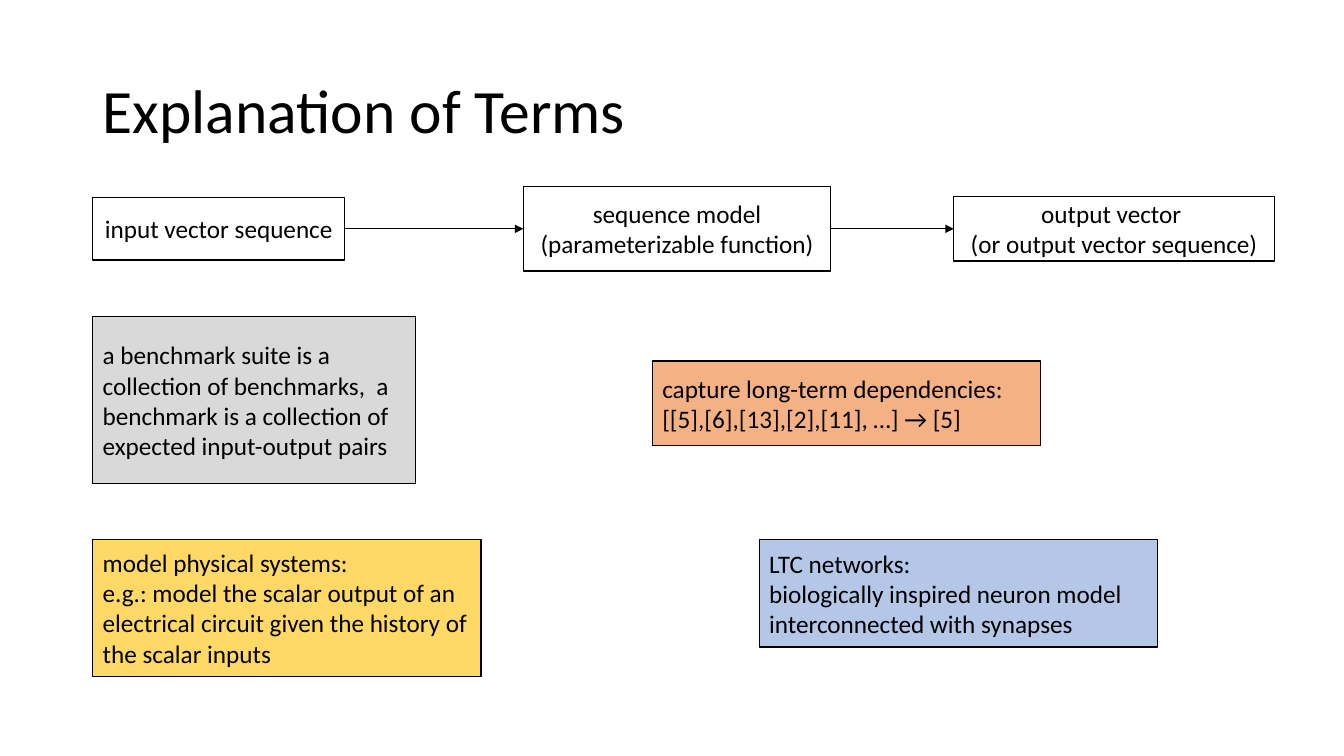
from lxml import etree
from pptx import Presentation
from pptx import util as u
from pptx.dml.color import RGBColor
from pptx.enum import shapes, text
from pptx.oxml.ns import qn

PX = 9144  # EMU per px, 100 px to the inch
RIGHT, LEFT = 3, 1  # connection sites of a rectangle


def color(hex_code):
    return RGBColor.from_string(hex_code)


def apply(target, values):
    for name, value in values.items():
        setattr(target, name, value)


class TermsSlide:
    """Holds the style and the current slide; lengths are in px."""

    font = "Calibri"
    ink = "000000"
    title_size = 44
    body_size = 18

    def __init__(self, deck):
        self.page = deck.slides.add_slide(deck.slide_layouts[6])

    def set_words(self, box, words, size, **para_format):
        frame = box.text_frame
        apply(frame, {"word_wrap": True, "vertical_anchor": text.MSO_ANCHOR.MIDDLE})
        para = frame.paragraphs[0]
        para.text = words
        apply(para, para_format)
        for span in para.runs:
            apply(span.font, {"name": self.font, "size": u.Pt(size)})
            span.font.color.rgb = color(self.ink)

    def title(self, words, *place):
        box = self.page.shapes.add_textbox(*(n * PX for n in place))
        self.set_words(box, words, self.title_size, line_spacing=0.9)

    def box(self, words, fill, *place, align=text.PP_ALIGN.LEFT):
        box = self.page.shapes.add_shape(
            shapes.MSO_SHAPE.RECTANGLE, *(n * PX for n in place))
        box.shadow.inherit = False
        box.fill.solid()
        box.fill.fore_color.rgb = color(fill)
        box.line.color.rgb = color(self.ink)
        box.line.width = u.Pt(1)
        self.set_words(box, words, self.body_size, alignment=align)
        return box

    def arrow(self, source, target):
        """Join the right side of source to the left side of target."""
        line = self.page.shapes.add_connector(
            shapes.MSO_CONNECTOR.STRAIGHT, 0, 0, 0, 0)
        line.begin_connect(source, RIGHT)
        line.end_connect(target, LEFT)
        line.line.color.rgb = color(self.ink)
        line.line.width = u.Pt(0.5)
        properties = line._element.spPr
        etree.SubElement(properties.find(qn("a:ln")), qn("a:tailEnd"), type="triangle")
        etree.SubElement(properties, qn("a:effectLst"))


def main():
    deck = Presentation()
    apply(deck, {"slide_width": 1333 * PX, "slide_height": 750 * PX})
    slide = TermsSlide(deck)
    margin = 92
    slide.title("Explanation of Terms", margin, 40, 1150, 145)

    flow_middle = 227
    flow = [
        ("input vector sequence", margin, 250, 62),
        ("sequence model\n(parameterizable function)", 519, 305, 84),
        ("output vector \n(or output vector sequence)", 946, 318, 64),
    ]
    steps = [
        slide.box(words, "FFFFFF", left, flow_middle - height // 2, width, height,
                  align=text.PP_ALIGN.CENTER)
        for words, left, width, height in flow
    ]
    for source, target in zip(steps, steps[1:]):
        slide.arrow(source, target)

    lower_row = 535
    terms = [
        ("a benchmark suite is a collection of benchmarks,  a benchmark is a "
         "collection of expected input-output pairs",
         "D9D9D9", margin, 314, 320, 166),
        ("capture long-term dependencies:\n[[5],[6],[13],[2],[11], …] → [5]",
         "F4B183", 647, 358, 385, 84),
        ("model physical systems:\ne.g.: model the scalar output of an electrical "
         "circuit given the history of the scalar inputs",
         "FFD966", margin, lower_row, 385, 136),
        ("LTC networks:\nbiologically inspired neuron model interconnected with synapses",
         "B4C7E7", 753, lower_row, 395, 107),
    ]
    for term in terms:
        slide.box(*term)

    deck.save("out.pptx")


if __name__ == "__main__":
    main()
